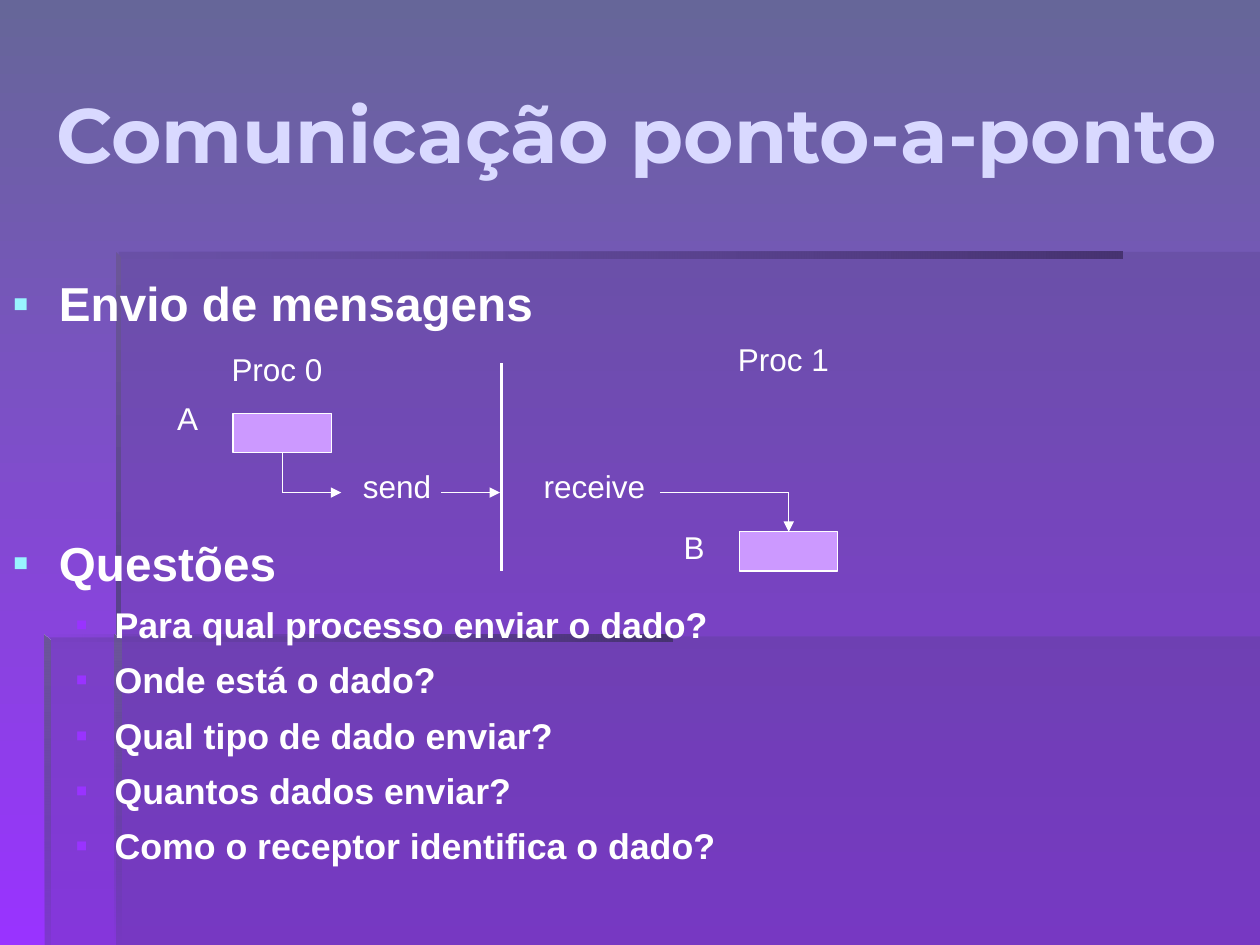
"""Build the slide on point-to-point communication."""
from lxml import etree
from pptx import Presentation
from pptx.dml.color import RGBColor
from pptx.enum.shapes import MSO_CONNECTOR, MSO_SHAPE
from pptx.enum.text import MSO_ANCHOR, PP_ALIGN
from pptx.oxml.ns import qn
from pptx.util import Cm, Pt

STRAIGHT = MSO_CONNECTOR.STRAIGHT
RECT = MSO_SHAPE.RECTANGLE
TOP, MIDDLE = MSO_ANCHOR.TOP, MSO_ANCHOR.MIDDLE
LEFT, CENTER = PP_ALIGN.LEFT, PP_ALIGN.CENTER

W, H = 25.4, 19.05
WHITE, PANEL, DARK, LIGHT = "FFFFFF", "573F8B", "473371", "6B5698"

PANELS = [
    [(2.34, 12.83), (2.34, H), (W, H), (W, 12.83)],
    [(2.39, 12.85), (0.91, 12.85), (0.91, H), (W, H), (W, 5.08), (2.39, 5.08)],
]
# points, start colour, angle, end opacity in percent
EDGES = [
    ([(2.34, 5.08), (2.34, 5.21), (22.63, 5.21), (22.63, 5.08)], DARK, 180, 0),
    ([(2.34, 5.08), (2.34, 12.95), (2.44, 12.95), (2.44, 5.18)], LIGHT, 270, 100),
    ([(2.31, H), (2.44, H), (2.44, 12.9), (2.31, 12.8)], LIGHT, 270, 0),
    ([(0.89, 12.8), (0.89, 12.93), (13.56, 12.93), (13.56, 12.8)], DARK, 180, 0),
    ([(0.89, 12.8), (0.89, H), (1.02, H), (1.02, 12.93)], LIGHT, 270, 12),
]
TITLE = "Comunicação ponto-a-ponto"
# text, level, space before in points
BODY = [
    ("Envio de mensagens", 0, 0),
    ("Questões", 0, 115.6),
    ("Para qual processo enviar o dado?", 1, 7),
    ("Onde está o dado?", 1, 7),
    ("Qual tipo de dado enviar?", 1, 7),
    ("Quantos dados enviar?", 1, 7),
    ("Como o receptor identifica o dado?", 1, 7),
]
# size, left margin, hanging indent, bullet colour
LEVELS = [(27.2, 0.94, 0.94, "99F3FF"), (20.4, 2.06, 0.79, "9933FF")]
BUFFERS = [(4.7, 8.33), (14.91, 10.72)]
LABELS = [
    ("Proc 0", 4.29, 6.93), ("Proc 1", 14.5, 6.73),
    ("A", 2.49, 7.92), ("B", 12.7, 10.52),
    ("send", 6.71, 9.3), ("receive", 10.69, 9.3),
]
# x1, y1, x2, y2, width, arrowhead
LINES = [
    (10.11, 7.32, 10.11, 11.51, 1.5, False),
    (5.69, 9.12, 5.69, 9.93, 0.75, False),
    (15.9, 9.93, 15.9, 10.72, 0.75, True),
    (5.69, 9.93, 6.88, 9.93, 0.75, True),
    (8.89, 9.93, 10.08, 9.93, 0.75, True),
    (13.31, 9.93, 15.9, 9.93, 0.75, False),
]


def rgb(color):
    return RGBColor.from_string(color)


def solid(fill, color):
    fill.solid()
    fill.fore_color.rgb = rgb(color)


def gradient(fill, start, end, angle):
    fill.gradient()
    fill.gradient_angle = angle
    for stop, color in zip(fill.gradient_stops, (start, end)):
        stop.color.rgb = rgb(color)


def fade(sp, percent):
    color = sp._element.spPr.findall(".//" + qn("a:srgbClr"))[-1]
    etree.SubElement(color, qn("a:alpha"), val=str(percent * 1000))


def outline(s, points):
    start, *rest = [(Cm(x), Cm(y)) for x, y in points]
    builder = s.shapes.build_freeform(*start)
    builder.add_line_segments(rest, close=True)
    sp = builder.convert_to_shape()
    sp.shadow.inherit = False
    sp.line.fill.background()
    return sp


def text_frame(s, x, y, w, h, anchor=TOP):
    tf = s.shapes.add_textbox(Cm(x), Cm(y), Cm(w), Cm(h)).text_frame
    tf.word_wrap = True
    tf.vertical_anchor = anchor
    return tf


def write(p, text, size, color=WHITE, font="Arial", bold=False, align=LEFT):
    p.text = text
    p.alignment = align
    p.font.size = Pt(size)
    p.font.name = font
    p.font.bold = bold
    p.font.color.rgb = rgb(color)


def bullet(p, margin, hanging, color):
    pr = p._p.get_or_add_pPr()
    pr.set("marL", str(Cm(margin)))
    pr.set("indent", str(-Cm(hanging)))
    tint = etree.SubElement(pr, qn("a:buClr"))
    etree.SubElement(tint, qn("a:srgbClr"), val=color)
    etree.SubElement(pr, qn("a:buFont"), typeface="Arial")
    etree.SubElement(pr, qn("a:buChar"), char="▪")


def add_backdrop(s):
    gradient(s.background.fill, "666699", "9933FF", 270)
    for points in PANELS:
        sp = outline(s, points)
        solid(sp.fill, PANEL)
        fade(sp, 30)
    for points, start, angle, opacity in EDGES:
        sp = outline(s, points)
        gradient(sp.fill, start, PANEL, angle)
        fade(sp, opacity)


def add_text(s):
    tf = text_frame(s, 0.89, 0.69, 24.64, 3.99, MIDDLE)
    write(tf.paragraphs[0], TITLE, 44, "D9D9FF", "Montserrat", True)
    tf = text_frame(s, 0, 5.28, W, 11.63)
    tf.margin_top = Cm(0.25)
    for i, (text, level, before) in enumerate(BODY):
        p = tf.add_paragraph() if i else tf.paragraphs[0]
        size, margin, hanging, color = LEVELS[level]
        bullet(p, margin, hanging, color)
        p.level = level
        p.space_before = Pt(before)
        write(p, text, size, bold=True)


def add_diagram(s):
    for x, y in BUFFERS:
        sp = s.shapes.add_shape(RECT, Cm(x), Cm(y), Cm(1.98), Cm(0.79))
        sp.shadow.inherit = False
        solid(sp.fill, "CC99FF")
        solid(sp.line.fill, WHITE)
        sp.line.width = Pt(0.75)
    for text, x, y in LABELS:
        tf = text_frame(s, x, y, 2.59, 1.02)
        write(tf.paragraphs[0], text, 18, align=CENTER)
    for x1, y1, x2, y2, width, arrow in LINES:
        sp = s.shapes.add_connector(STRAIGHT, Cm(x1), Cm(y1), Cm(x2), Cm(y2))
        solid(sp.line.fill, WHITE)
        sp.line.width = Pt(width)
        if arrow:
            etree.SubElement(sp.line._get_or_add_ln(), qn("a:tailEnd"), type="triangle")
        etree.SubElement(sp._element.spPr, qn("a:effectLst"))


def main():
    prs = Presentation()
    prs.slide_width, prs.slide_height = Cm(W), Cm(H)
    s = prs.slides.add_slide(prs.slide_layouts[6])
    add_backdrop(s)
    add_text(s)
    add_diagram(s)
    prs.save("out.pptx")


if __name__ == "__main__":
    main()
